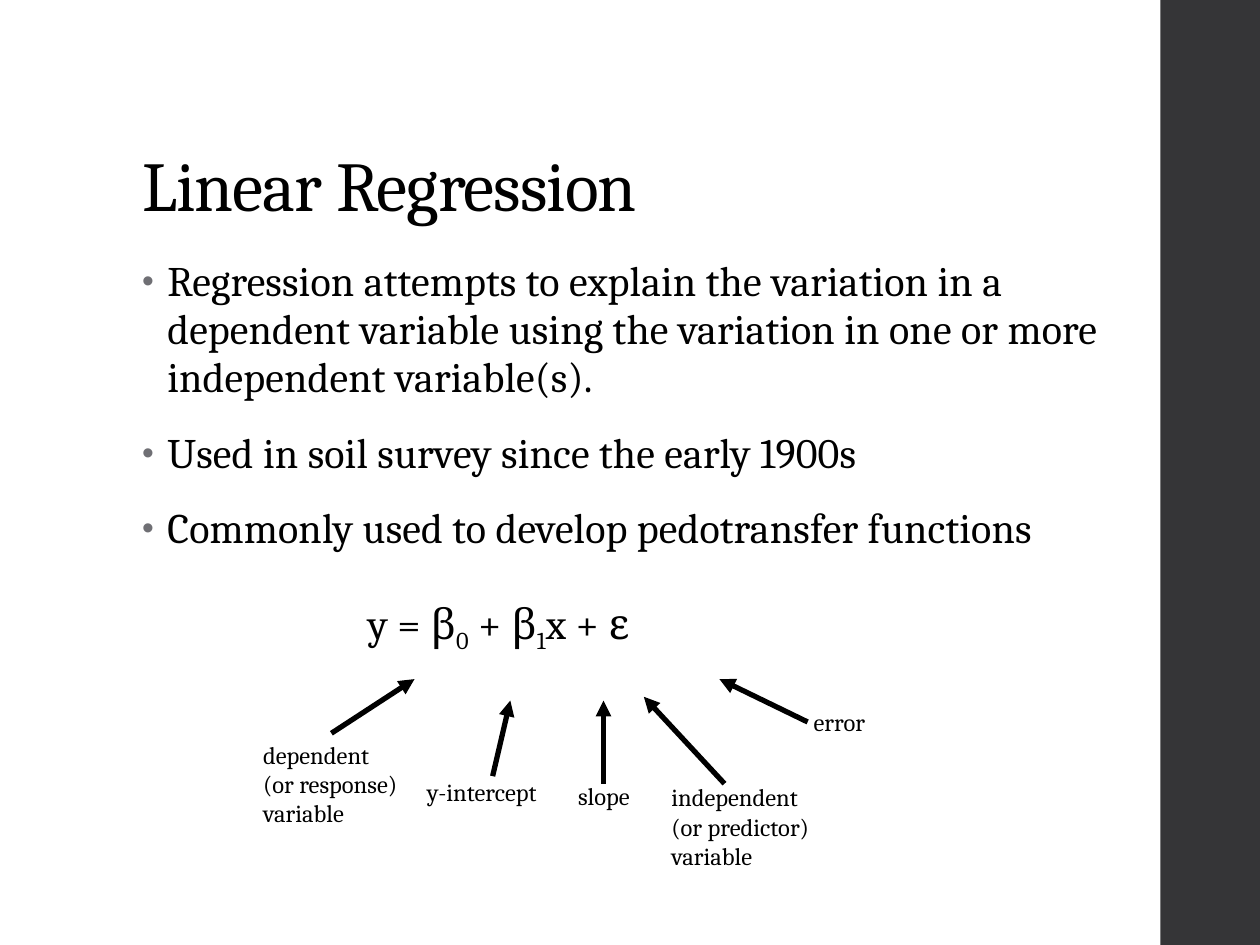
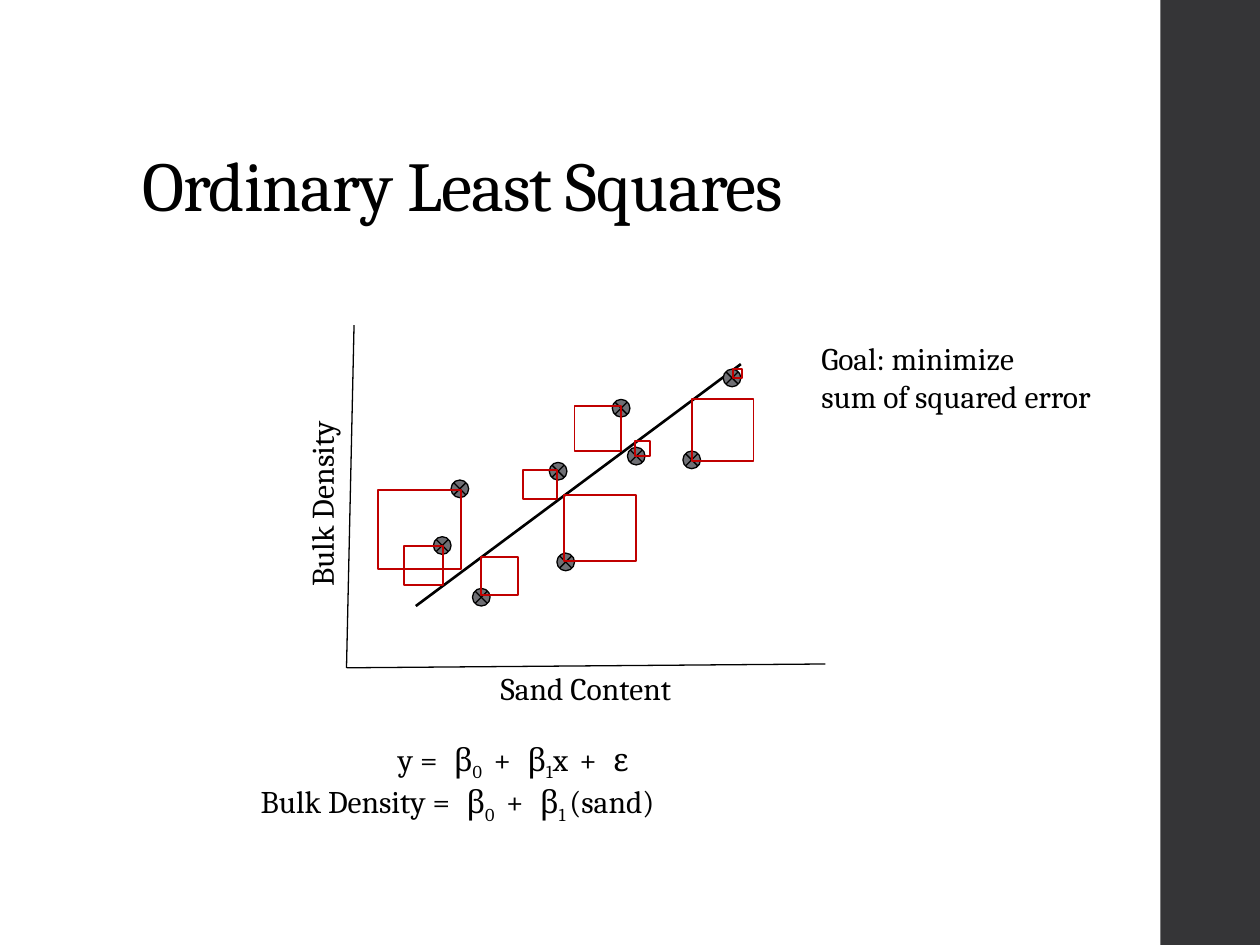
from dataclasses import dataclass

from lxml.etree import SubElement
from pptx import Presentation
from pptx.dml.color import RGBColor as Rgb
from pptx.enum.shapes import MSO_CONNECTOR as Link, MSO_SHAPE as Form
from pptx.enum.text import MSO_ANCHOR as Anchor, MSO_AUTO_SIZE as Fit, PP_ALIGN as Align
from pptx.oxml.ns import qn
from pptx.util import Inches, Pt


@dataclass(frozen=True)
class Theme:
    font: str = "Cambria"
    ink: str = "000000"
    band: str = "353537"
    grey: str = "6F6F74"
    red: str = "C00000"
    title: int = 40
    body: int = 24
    label: int = 18
    note: int = 14


class Deck:
    def __init__(self, theme):
        self.theme = theme
        self.prs = Presentation()
        self.prs.slide_width, self.prs.slide_height = Inches(10), Inches(7.5)
        self.slide = None

    def start(self, title):
        """Add a slide with the side band and its title."""
        self.slide = self.prs.slides.add_slide(self.prs.slide_layouts[6])
        self.shape(Form.RECTANGLE, (9.21, 0, 0.79, 7.5), fill=self.theme.band)
        frame = self.text((1.03, 0.4, 7.95, 1.45), [title], self.theme.title, track=-0.5)
        frame.vertical_anchor = Anchor.BOTTOM
        frame.paragraphs[0].line_spacing = 0.9

    def shape(self, form, box, fill=None, line=None, width=0.75):
        item = self.slide.shapes.add_shape(form, *map(Inches, box))
        item.shadow.inherit = False
        if fill:
            item.fill.solid()
            item.fill.fore_color.rgb = Rgb.from_string(fill)
        else:
            item.fill.background()
        if line:
            item.line.color.rgb = Rgb.from_string(line)
            item.line.width = Pt(width)
        else:
            item.line.fill.background()

    def line(self, start, end, width, arrow=False):
        item = self.slide.shapes.add_connector(
            Link.STRAIGHT, *map(Inches, (*start, *end)))
        item.line.color.rgb = Rgb.from_string(self.theme.ink)
        item.line.width = Pt(width)
        if arrow:
            SubElement(item.line._get_or_add_ln(), qn("a:tailEnd"), type="triangle")
        SubElement(item._element.spPr, qn("a:effectLst"))

    def text(self, box, rows, size, wrap=True, align=Align.LEFT, turn=0, track=0):
        item = self.slide.shapes.add_textbox(*map(Inches, box))
        item.rotation = turn
        frame = item.text_frame
        frame.word_wrap, frame.auto_size = wrap, Fit.NONE
        for i, row in enumerate(rows):
            par = frame.paragraphs[0] if i == 0 else frame.add_paragraph()
            par.text = row
            par.alignment = align
            self.style(par.runs[0], size, track)
        return frame

    def style(self, run, size, track=0):
        run.font.name, run.font.size = self.theme.font, Pt(size)
        run.font.color.rgb = Rgb.from_string(self.theme.ink)
        if track:
            run.font._element.set("spc", str(round(track * 100)))

    def bullet(self, par):
        props = par._p.get_or_add_pPr()
        props.set("marL", str(Inches(0.2)))
        props.set("indent", str(-Inches(0.2)))
        tint = SubElement(props, qn("a:buClr"))
        SubElement(tint, qn("a:srgbClr"), val=self.theme.grey)
        SubElement(props, qn("a:buSzPct"), val="80000")
        SubElement(props, qn("a:buFont"), typeface="Arial")
        SubElement(props, qn("a:buChar"), char="•")

    def formula(self, par, parts, size, left=0, track=0, gap=0):
        """Parts are split by |, _ marks a subscript, gap widens operators."""
        par._p.get_or_add_pPr().set("marL", str(Inches(left)))
        for part in parts.split("|"):
            run = par.add_run()
            run.text = part.lstrip("_")
            self.style(run, size, gap if gap and part.strip() in ("+", "=") else track)
            if part.startswith("_"):
                run.font._element.set("baseline", "-25000")

    def save(self):
        self.prs.save("out.pptx")


def model(deck):
    theme = deck.theme
    deck.start("Linear Regression")

    # Bullets and the equation
    frame = deck.text((1.03, 2, 7.8, 4.76), [
        "Regression attempts to explain the variation in a dependent variable "
        "using the variation in one or more independent variable(s).",
        "Used in soil survey since the early 1900s",
        "Commonly used to develop pedotransfer functions",
    ], theme.body, track=0.1)
    for i, par in enumerate(frame.paragraphs):
        par.space_before = Pt(14 if i else 0)
        deck.bullet(par)
    last = frame.add_paragraph()
    last.space_before = Pt(23)
    deck.formula(last, "y = β|_0| + β|_1|x + ε", theme.body, left=1.79, track=0.1)
    for par in frame.paragraphs:
        par.line_spacing, par.space_after = 0.95, Pt(2)

    # Arrows and labels for each term
    terms = [
        (["dependent", "(or response)", "variable"],
         (1.99, 5.82, 1.37, 0.81), (2.63, 5.82), (3.29, 5.39)),
        (["y-intercept"], (3.29, 6.12, 1.19, 0.34), (3.91, 6.16), (4.05, 5.56)),
        (["slope"], (4.49, 6.15, 0.66, 0.34), (4.79, 6.22), (4.79, 5.56)),
        (["independent", "(or predictor)", "variable"],
         (5.23, 6.16, 1.45, 0.81), (5.75, 6.22), (5.11, 5.53)),
        (["error"], (6.36, 5.56, 0.66, 0.34), (6.41, 5.73), (5.71, 5.39)),
    ]
    for rows, box, start, end in terms:
        deck.line(start, end, 3, arrow=True)
        deck.text(box, rows, theme.note, wrap=False)


def squares(deck):
    theme = deck.theme
    deck.start("Ordinary Least Squares")

    # Axes and fitted line
    base = (2.75, 5.3)
    deck.line((2.81, 2.58), base, 0.75)
    deck.line(base, (6.55, 5.27), 0.75)
    deck.line((3.3, 4.81), (5.88, 2.89), 1.5)
    deck.text((1.44, 3.8, 2.22, 0.4), ["Bulk Density"], theme.label,
              align=Align.CENTER, turn=270)
    deck.text((2.6, 5.26, 4.1, 0.4), ["Sand Content"], theme.label, align=Align.CENTER)

    # Each data point with its squared error
    points = [
        ((3.44, 4.26), (3.21, 4.33, 0.31, 0.31)),
        ((3.58, 3.81), (3, 3.89, 0.66, 0.63)),
        ((4.86, 3.17), (4.56, 3.22, 0.37, 0.36)),
        ((4.36, 3.67), (4.15, 3.73, 0.27, 0.23)),
        ((3.75, 4.67), (3.82, 4.42, 0.29, 0.3)),
        ((4.42, 4.39), (4.48, 3.93, 0.57, 0.52)),
        ((5.42, 3.58), (5.49, 3.17, 0.49, 0.49)),
        ((4.98, 3.55), (5.04, 3.5, 0.12, 0.12)),
        ((5.74, 2.93), (5.82, 2.93, 0.07, 0.07)),
    ]
    for spot, box in points:
        deck.shape(Form.FLOWCHART_SUMMING_JUNCTION, (*spot, 0.14, 0.14),
                   theme.grey, theme.ink)
        deck.shape(Form.RECTANGLE, box, line=theme.red, width=1.1)

    # Equations and goal
    frame = deck.text((1.97, 5.82, 5.25, 0.71), [], theme.label)
    deck.formula(frame.paragraphs[0], "y |= |β|_0| + |β|_1|x| + |ε",
                 theme.label, left=1.09, gap=2.6)
    deck.formula(frame.add_paragraph(), "Bulk Density |= |β|_0| + |β|_1 |(sand)",
                 theme.label, gap=2.6)
    deck.text((6.42, 2.64, 2.64, 0.71), ["Goal: minimize", "sum of squared error"],
              theme.label, wrap=False)


def main():
    deck = Deck(Theme())
    model(deck)
    squares(deck)
    deck.save()


if __name__ == "__main__":
    main()
